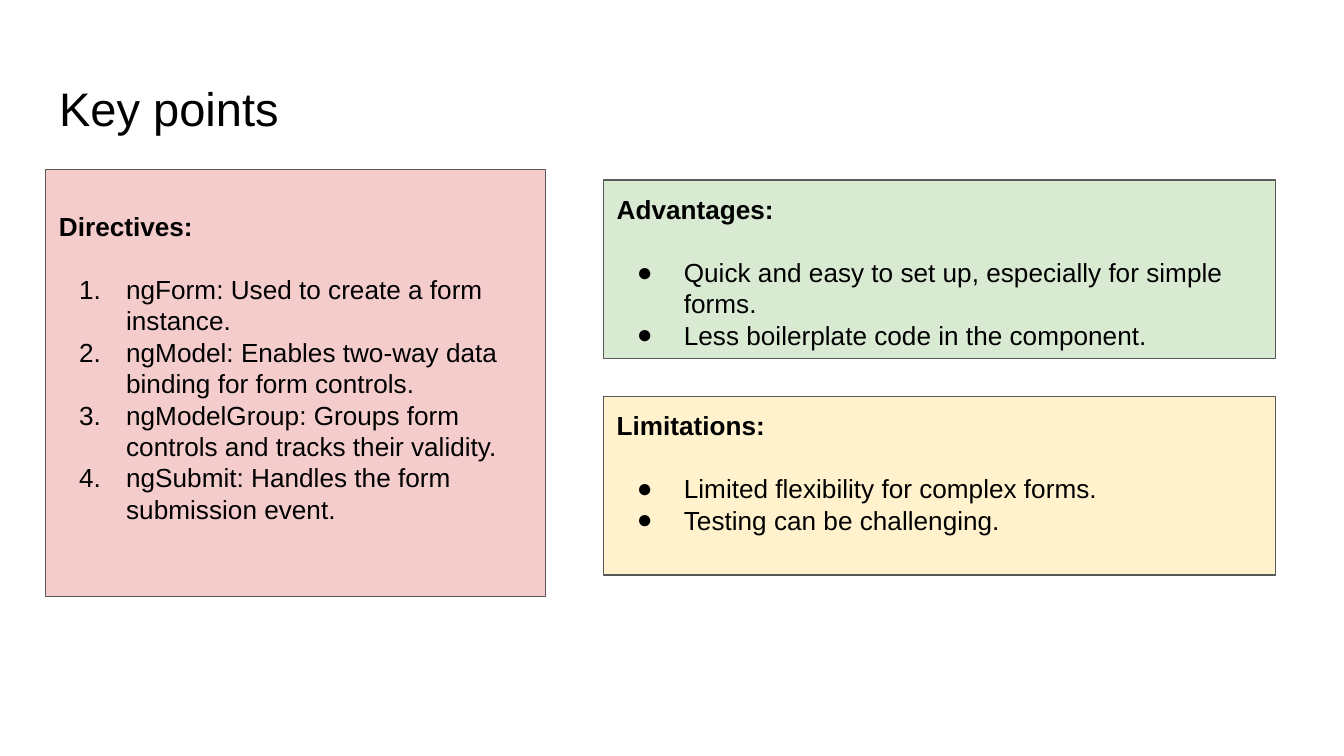
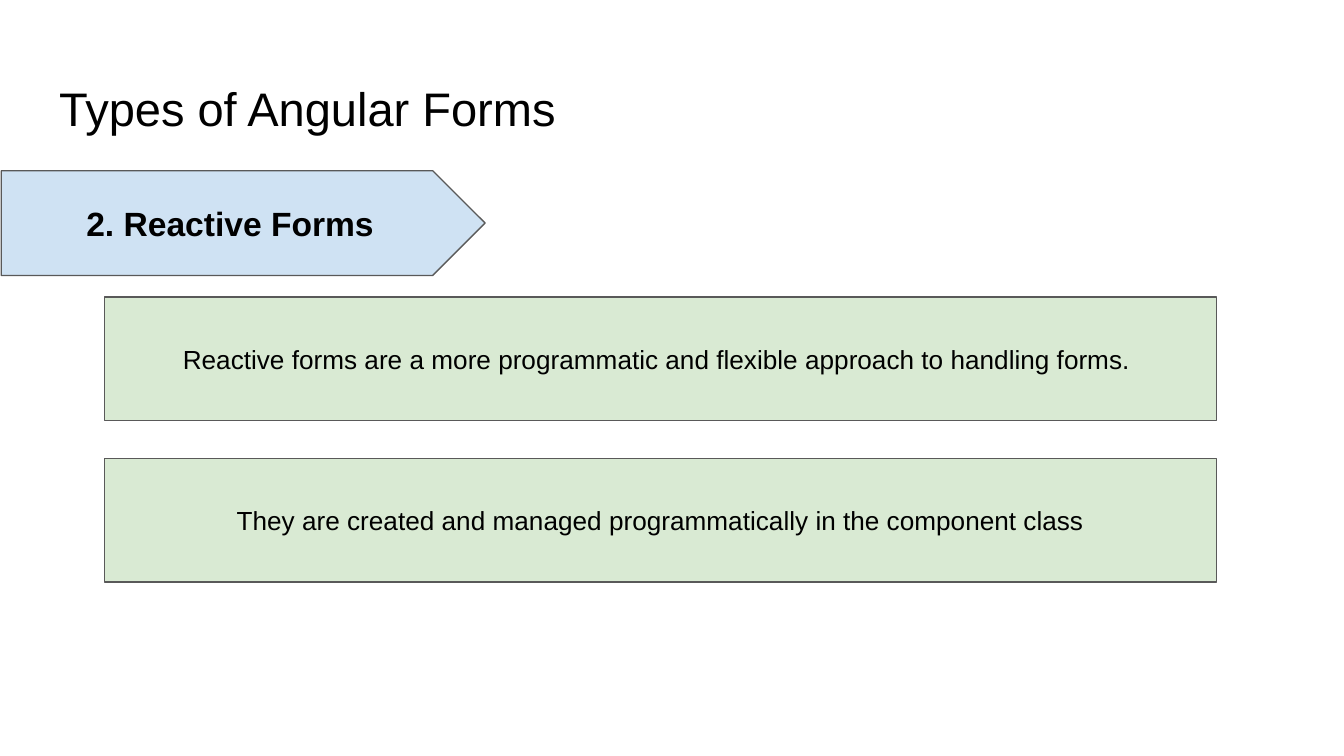
import lxml.etree
import pptx
import pptx.dml.color
import pptx.enum.shapes
import pptx.enum.text
import pptx.oxml.ns
import pptx.util
from dataclasses import dataclass

EMU_PER_PX = 4572
SHAPE = pptx.enum.shapes.MSO_SHAPE
ALIGN = pptx.enum.text.PP_ALIGN
ANCHOR = pptx.enum.text.MSO_ANCHOR


@dataclass(frozen=True)
class Theme:
    font: str = "Arial"
    ink: str = "000000"
    outline: str = "595959"
    rose: str = "F4CCCC"
    green: str = "D9EAD3"
    cream: str = "FFF2CC"
    blue: str = "CFE2F3"
    title_size: float = 25.2
    banner_size: int = 18
    body_size: int = 14
    outline_width: float = 0.75
    heading_gap: float = 16.8


theme = Theme()
INSET = 20
TITLE_BOX = (68, 98, 1864, 126)
INDENT, HANGING = 100, -70


def write(shape, lines, size, align, anchor, bold_first=False, bottom=INSET):
    frame = shape.text_frame
    margins = {"margin_left": INSET, "margin_top": INSET,
               "margin_right": INSET, "margin_bottom": bottom}
    for name, px in margins.items():
        setattr(frame, name, px * EMU_PER_PX)
    frame.word_wrap = True
    frame.auto_size = pptx.enum.text.MSO_AUTO_SIZE.NONE
    frame.vertical_anchor = anchor
    frame.text = "\n".join(lines)
    for index, paragraph in enumerate(frame.paragraphs):
        paragraph.alignment = align
        paragraph.line_spacing = 1.0
        font = paragraph.runs[0].font
        font_format = {"name": theme.font, "size": pptx.util.Pt(size),
                       "bold": bold_first and index == 0}
        for name, value in font_format.items():
            setattr(font, name, value)
        font.color.rgb = pptx.dml.color.RGBColor.from_string(theme.ink)
    return frame.paragraphs


def add_panel(slide, preset, box, fill):
    panel = slide.shapes.add_shape(preset, *(px * EMU_PER_PX for px in box))
    panel.shadow.inherit = False
    panel.fill.solid()
    panel.fill.fore_color.rgb = pptx.dml.color.RGBColor.from_string(fill)
    panel.line.color.rgb = pptx.dml.color.RGBColor.from_string(theme.outline)
    panel.line.width = pptx.util.Pt(theme.outline_width)
    return panel


deck = pptx.Presentation()
deck.slide_width = 2000 * EMU_PER_PX
deck.slide_height = 1125 * EMU_PER_PX

slides = []
for heading in ("Key points", "Types of Angular Forms"):
    slide = deck.slides.add_slide(deck.slide_layouts[5])
    title = slide.shapes.title
    for name, px in zip(("left", "top", "width", "height"), TITLE_BOX):
        setattr(title, name, px * EMU_PER_PX)
    write(title, [heading], theme.title_size, ALIGN.LEFT, ANCHOR.TOP)
    slides.append(slide)
key_points, form_types = slides

NUMBERED = ("a:buAutoNum", {"type": "arabicPeriod"})
DOTTED = ("a:buChar", {"char": "●"})
topics = [
    ((68, 252, 744, 636), theme.rose, ANCHOR.MIDDLE, 66, NUMBERED, [
        "Directives:",
        "ngForm: Used to create a form instance.",
        "ngModel: Enables two-way data binding for form controls.",
        "ngModelGroup: Groups form controls and tracks their validity.",
        "ngSubmit: Handles the form submission event.",
    ]),
    ((898, 268, 1000, 266), theme.green, ANCHOR.TOP, INSET, DOTTED, [
        "Advantages:",
        "Quick and easy to set up, especially for simple forms.",
        "Less boilerplate code in the component.",
    ]),
    ((898, 590, 1000, 266), theme.cream, ANCHOR.TOP, INSET, DOTTED, [
        "Limitations:",
        "Limited flexibility for complex forms.",
        "Testing can be challenging.",
    ]),
]
for box, fill, anchor, bottom, (marker, marker_format), lines in topics:
    topic = add_panel(key_points, SHAPE.RECTANGLE, box, fill)
    topic_heading, *points = write(topic, lines, theme.body_size, ALIGN.LEFT, anchor,
                                   bold_first=True, bottom=bottom)
    topic_heading.space_after = pptx.util.Pt(theme.heading_gap)
    for point in points:
        properties = point._p.get_or_add_pPr()
        properties.set("marL", str(INDENT * EMU_PER_PX))
        properties.set("indent", str(HANGING * EMU_PER_PX))
        bullet_color = lxml.etree.SubElement(properties, pptx.oxml.ns.qn("a:buClr"))
        lxml.etree.SubElement(bullet_color, pptx.oxml.ns.qn("a:srgbClr"), val=theme.ink)
        lxml.etree.SubElement(properties, pptx.oxml.ns.qn("a:buFont"), typeface=theme.font)
        lxml.etree.SubElement(properties, pptx.oxml.ns.qn(marker), marker_format)

banner = add_panel(form_types, SHAPE.PENTAGON, (2, 254, 720, 156), theme.blue)
write(banner, ["2. Reactive Forms"], theme.banner_size, ALIGN.CENTER, ANCHOR.MIDDLE,
      bold_first=True)

statements = [
    "Reactive forms are a more programmatic and flexible approach to handling forms. ",
    "They are created and managed programmatically in the component class",
]
for row, statement in enumerate(statements):
    card = add_panel(form_types, SHAPE.RECTANGLE, (156, 442 + 240 * row, 1654, 184), theme.green)
    write(card, [statement], theme.body_size, ALIGN.CENTER, ANCHOR.MIDDLE)

deck.save("out.pptx")
